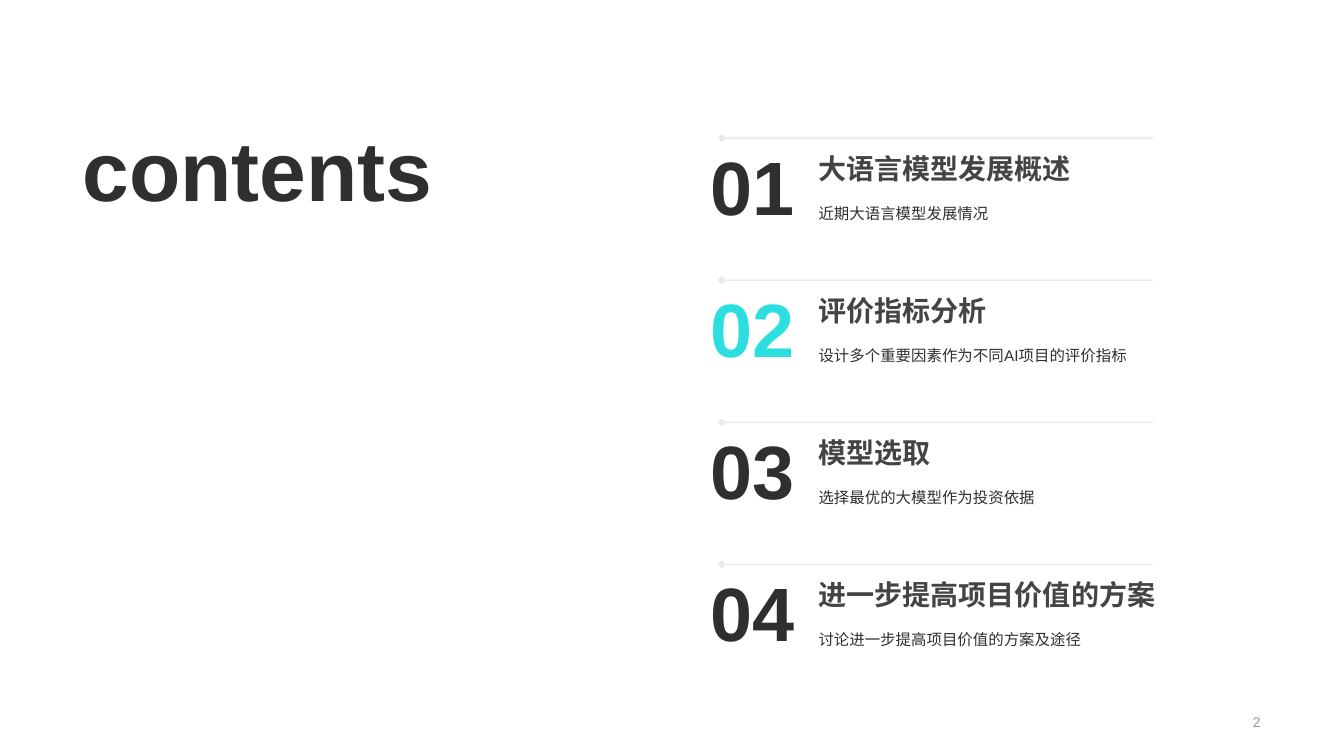
"""Build a contents slide with four numbered sections."""
from lxml import etree
from pptx import Presentation
from pptx import util as u
from pptx.dml.color import RGBColor
from pptx.enum import lang, shapes, text
from pptx.oxml.ns import qn

COLORS = {"ink": "2F2F2F", "heading": "444444", "accent": "2DDEE1", "gray": "979797"}
SECTIONS = [
    ("大语言模型发展概述", "近期大语言模型发展情况", "ink"),
    ("评价指标分析", "设计多个重要因素作为不同AI项目的评价指标", "accent"),
    ("模型选取", "选择最优的大模型作为投资依据", "ink"),
    ("进一步提高项目价值的方案", "讨论进一步提高项目价值的方案及途径", "ink"),
]
TOP, PITCH = 1.37, 1.41


def add_text(parent, words, box, size, color="ink", bold=False, middle=False,
             align=text.PP_ALIGN.LEFT, spacing=None):
    sp = parent.add_textbox(*[u.Inches(v) for v in box])
    tf = sp.text_frame
    tf.word_wrap = True
    tf.vertical_anchor = text.MSO_ANCHOR.MIDDLE if middle else text.MSO_ANCHOR.TOP
    p = tf.paragraphs[0]
    p.alignment = align
    p.line_spacing = spacing
    r = p.add_run()
    r.text = words
    r.font.name = "Arial"
    r.font.size = u.Pt(size)
    r.font.bold = bold
    r.font.color.rgb = RGBColor.from_string(COLORS[color])
    r.font.language_id = lang.MSO_LANGUAGE_ID.SIMPLIFIED_CHINESE


prs = Presentation()
prs.slide_width, prs.slide_height = u.Inches(13.33), u.Inches(7.5)
s = prs.slides.add_slide(prs.slide_layouts[6])

add_text(s.shapes, "2", (9.69, 7.04, 2.91, 0.24), 10, "gray", middle=True,
         align=text.PP_ALIGN.RIGHT)

for i, (title, summary, number_color) in enumerate(SECTIONS):
    y = TOP + i * PITCH
    section = s.shapes.add_group_shape().shapes
    add_text(section, f"{i + 1:02}", (6.95, y - 0.04, 1.06, 1.01), 54, number_color,
             bold=True, middle=True)
    add_text(section, title, (8.02, y + 0.08, 3.82, 0.44), 20, "heading",
             bold=True, middle=True)
    rule = section.add_connector(shapes.MSO_CONNECTOR.STRAIGHT, u.Inches(7.16),
                                 u.Inches(y), u.Inches(11.44), u.Inches(y))
    rule.line.width = u.Pt(1)
    rule.line.color.rgb = RGBColor.from_string(COLORS["gray"])
    ln = rule.line._get_or_add_ln()
    etree.SubElement(ln.find(".//" + qn("a:srgbClr")), qn("a:alpha"), val="20000")
    etree.SubElement(ln, qn("a:headEnd"), type="diamond")
    etree.SubElement(rule._element.spPr, qn("a:effectLst"))
    add_text(section, summary, (8.02, y + 0.51, 3.82, 0.34), 11, spacing=1.5)

add_text(s.shapes, "contents", (0.72, 1.12, 5.38, 1.11), 60, bold=True)

prs.save("out.pptx")
